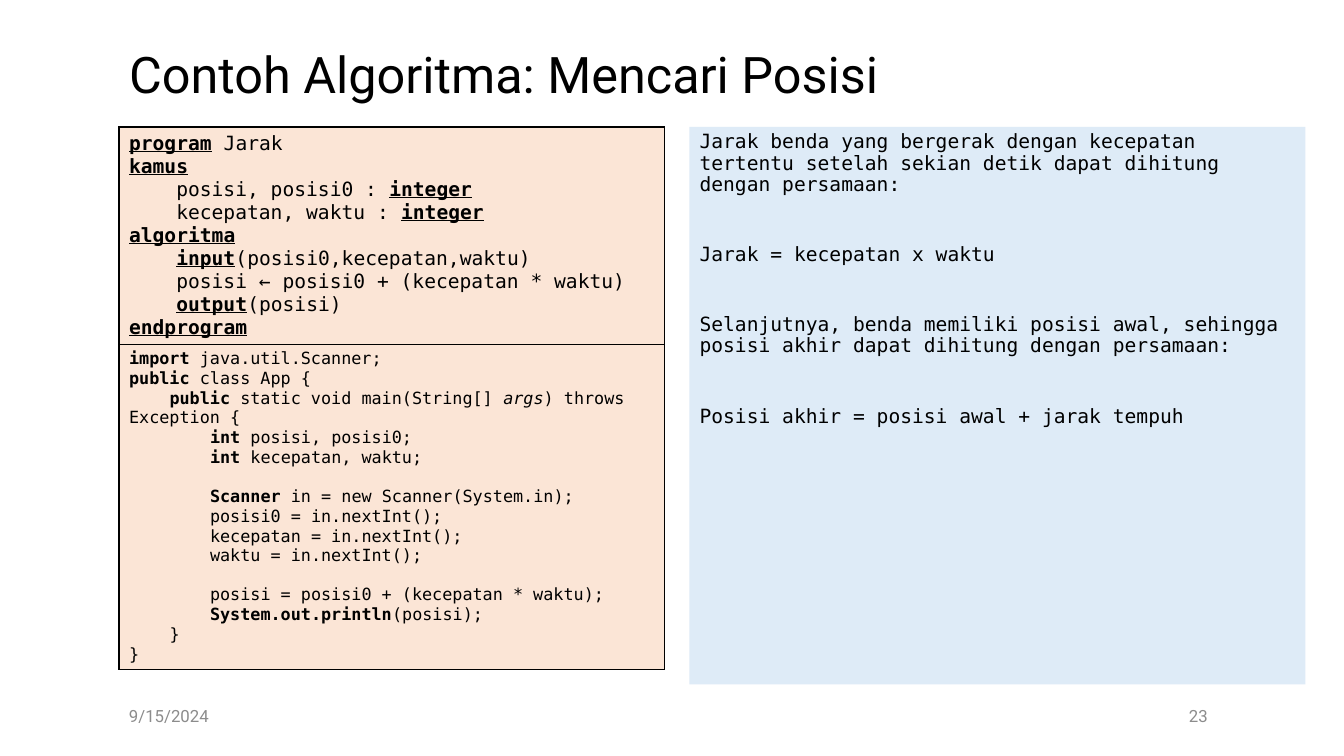
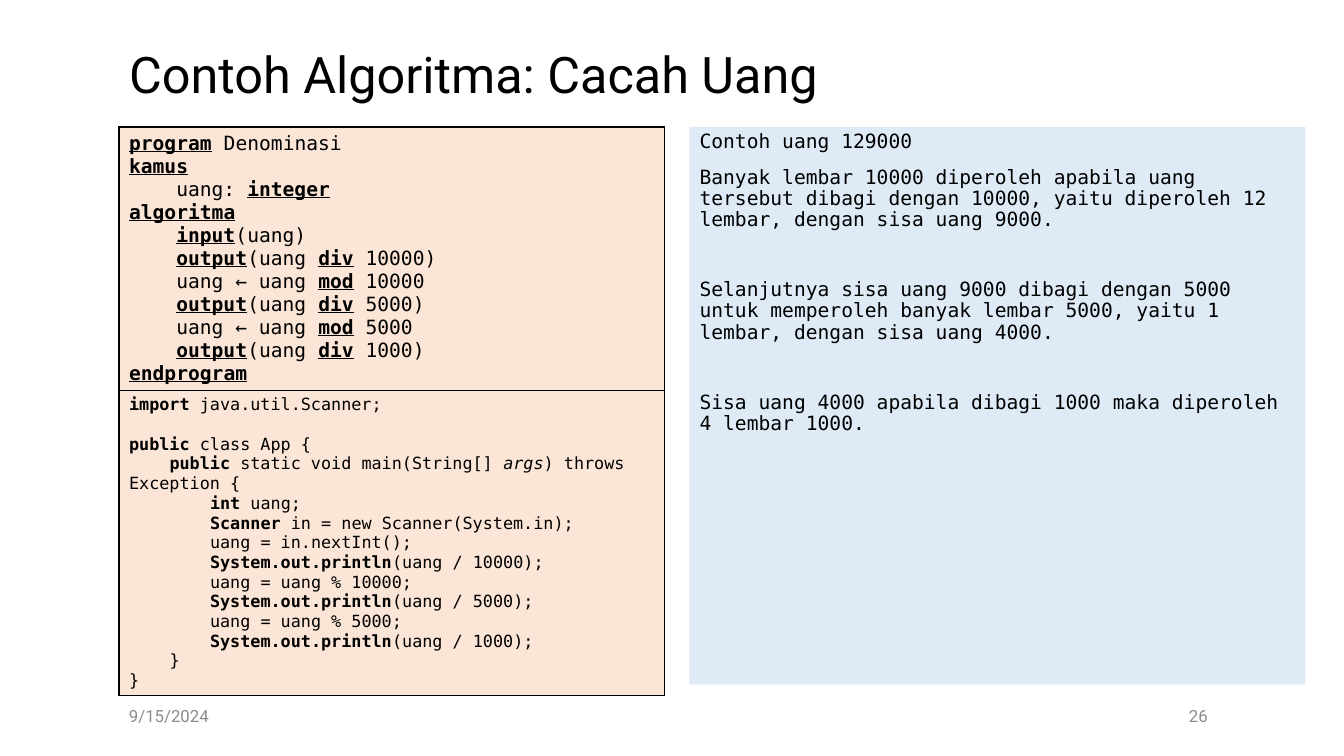
from dataclasses import dataclass
from typing import Any, Iterator, NamedTuple

from lxml.etree import SubElement
from pptx import Presentation
from pptx.dml.color import RGBColor
from pptx.enum.text import MSO_ANCHOR as Anchor, MSO_AUTO_SIZE as AutoSize, PP_ALIGN as Align
from pptx.oxml.ns import qn
from pptx.util import Pt


# Theme
@dataclass(frozen=True)
class Theme:
    ink: str = "000000"
    muted: str = "8C8C8C"
    code_fill: str = "FBE5D6"
    note_fill: str = "DEEBF7"
    heading_font: str = "Roboto"
    code_font: str = "DejaVu Sans Mono"
    title_size: float = 36
    text_size: float = 14
    small_size: float = 12
    mono_advance: float = 0.602  # character width per point of type size
    border: float = 1


THEME = Theme()


class Box(NamedTuple):
    left: float
    top: float
    width: float
    height: float


SLIDE_WIDTH, SLIDE_HEIGHT = 960, 540
LEFT = 85
TITLE_BOX = Box(LEFT, 28.8, 713.5, 53.3)
NOTE_BOX = Box(492.5, 90.7, 440, 398.2)
DATE_BOX = Box(LEFT, 496.8, 108.7, 28.8)
NUMBER_BOX = Box(198, 496.8, 671.8, 28.8)
CODE_TOP, CODE_WIDTH = 90.7, 389.5
DATE = "9/15/2024"


@dataclass(frozen=True)
class TextStyle:
    font: str
    size: float
    color: str = THEME.ink
    underline_keywords: bool = False
    line_spacing: float = 1.0
    space_before: float = 0
    gap: float = 0  # extra space where the source text has a blank line
    align: Any = Align.LEFT


TITLE = TextStyle(THEME.heading_font, THEME.title_size, line_spacing=0.9)
NOTE = TextStyle(THEME.code_font, THEME.text_size, line_spacing=0.9, space_before=10, gap=25)
PSEUDOCODE = TextStyle(THEME.code_font, THEME.text_size, underline_keywords=True)
JAVA = TextStyle(THEME.code_font, THEME.small_size, gap=14)
DATE_STYLE = TextStyle(THEME.heading_font, THEME.small_size, THEME.muted)
NUMBER_STYLE = TextStyle(THEME.heading_font, THEME.small_size, THEME.muted, align=Align.RIGHT)


# Content: `keyword`, ~italic~, leading spaces indent, a blank line opens a gap
@dataclass(frozen=True)
class Example:
    title: str
    number: str
    row_heights: tuple[float, float]
    pseudocode: str
    java: str
    note: str


EXAMPLES = [
    Example(
        "Contoh Algoritma: Mencari Posisi", "23", (155, 232),
        """
`program` Jarak
`kamus`
    posisi, posisi0 : `integer`
    kecepatan, waktu : `integer`
`algoritma`
    `input`(posisi0,kecepatan,waktu)
    posisi ← posisi0 + (kecepatan * waktu)
    `output`(posisi)
`endprogram`
""",
        """
`import` java.util.Scanner;
`public` class App {
    `public` static void main(String[] ~args~) throws Exception {
        `int` posisi, posisi0;
        `int` kecepatan, waktu;

        `Scanner` in = new Scanner(System.in);
        posisi0 = in.nextInt();
        kecepatan = in.nextInt();
        waktu = in.nextInt();

        posisi = posisi0 + (kecepatan * waktu);
        `System.out.println`(posisi);
    }
}
""",
        """
Jarak benda yang bergerak dengan kecepatan tertentu setelah sekian detik dapat dihitung dengan persamaan:

Jarak = kecepatan x waktu

Selanjutnya, benda memiliki posisi awal, sehingga posisi akhir dapat dihitung dengan persamaan:

Posisi akhir = posisi awal + jarak tempuh
"""),
    Example(
        "Contoh Algoritma: Cacah Uang", "26", (188, 218),
        """
`program` Denominasi
`kamus`
    uang: `integer`
`algoritma`
    `input`(uang)
    `output`(uang `div` 10000)
    uang ← uang `mod` 10000
    `output`(uang `div` 5000)
    uang ← uang `mod` 5000
    `output`(uang `div` 1000)
`endprogram`
""",
        """
`import` java.util.Scanner;

`public` class App {
    `public` static void main(String[] ~args~) throws Exception {
        `int` uang;
        `Scanner` in = new Scanner(System.in);
        uang = in.nextInt();
        `System.out.println`(uang / 10000);
        uang = uang % 10000;
        `System.out.println`(uang / 5000);
        uang = uang % 5000;
        `System.out.println`(uang / 1000);
    }
}
""",
        """
Contoh uang 129000
Banyak lembar 10000 diperoleh apabila uang tersebut dibagi dengan 10000, yaitu diperoleh 12 lembar, dengan sisa uang 9000.

Selanjutnya sisa uang 9000 dibagi dengan 5000 untuk memperoleh banyak lembar 5000, yaitu 1 lembar, dengan sisa uang 4000.

Sisa uang 4000 apabila dibagi 1000 maka diperoleh 4 lembar 1000.
"""),
]


# Text helpers
class Line(NamedTuple):
    text: str
    indent: int
    after_gap: bool


def read_lines(source: str) -> Iterator[Line]:
    after_gap = False
    for raw in source.strip("\n").split("\n"):
        text = raw.lstrip()
        if text:
            yield Line(text, len(raw) - len(text), after_gap)
        after_gap = not text


def apply_format(target: Any, values: dict[str, Any]) -> None:
    for name, value in values.items():
        setattr(target, name, value)


def add_runs(paragraph: Any, text: str, style: TextStyle) -> None:
    for index, chunk in enumerate(text.split("`")):
        keyword = index % 2 == 1
        for position, piece in enumerate(chunk.split("~")):
            if not piece:
                continue
            run = paragraph.add_run()
            run.text = piece
            apply_format(run.font, {
                "name": style.font,
                "size": Pt(style.size),
                "bold": keyword,
                "italic": position % 2 == 1,
                "underline": keyword and style.underline_keywords,
            })
            run.font.color.rgb = RGBColor.from_string(style.color)


def write_text(frame: Any, source: str, style: TextStyle) -> None:
    for index, line in enumerate(read_lines(source)):
        paragraph = frame.add_paragraph() if index else frame.paragraphs[0]
        apply_format(paragraph, {
            "alignment": style.align,
            "line_spacing": style.line_spacing,
            "space_before": Pt(style.space_before + style.gap * line.after_gap),
            "space_after": Pt(0),
        })
        # First-line indent only, so that wrapped code returns to the margin
        properties = paragraph._p.get_or_add_pPr()
        indent = Pt(line.indent * style.size * THEME.mono_advance)
        properties.set("marL", "0")
        properties.set("indent", str(int(indent)))
        SubElement(properties, qn("a:buNone"))
        add_runs(paragraph, line.text, style)


def fill_solid(target: Any, color: str) -> None:
    target.fill.solid()
    target.fill.fore_color.rgb = RGBColor.from_string(color)


def write_box(shape: Any, box: Box, source: str, style: TextStyle, anchor: Any) -> None:
    apply_format(shape, {name: Pt(value) for name, value in box._asdict().items()})
    apply_format(shape.text_frame, {
        "word_wrap": True,
        "auto_size": AutoSize.NONE,
        "vertical_anchor": anchor,
    })
    write_text(shape.text_frame, source, style)


# Code table
def add_borders(cell: Any) -> None:
    properties = cell._tc.get_or_add_tcPr()
    for index, side in enumerate(("lnL", "lnR", "lnT", "lnB")):
        line = SubElement(properties, qn(f"a:{side}"), w=str(int(Pt(THEME.border))))
        fill = SubElement(line, qn("a:solidFill"))
        SubElement(fill, qn("a:srgbClr"), val=THEME.ink)
        properties.insert(index, line)


def add_code_table(slide: Any, example: Example) -> None:
    frame = slide.shapes.add_table(
        2, 1, Pt(LEFT), Pt(CODE_TOP), Pt(CODE_WIDTH), Pt(sum(example.row_heights)))
    table = frame.table
    apply_format(table, {"first_row": False, "horz_banding": False})
    listings = ((example.pseudocode, PSEUDOCODE), (example.java, JAVA))
    for index, (source, style) in enumerate(listings):
        table.rows[index].height = Pt(example.row_heights[index])
        cell = table.cell(index, 0)
        fill_solid(cell, THEME.code_fill)
        add_borders(cell)
        write_text(cell.text_frame, source, style)


# Slides
def add_example_slide(presentation: Any, example: Example) -> None:
    slide = presentation.slides.add_slide(presentation.slide_layouts[1])
    write_box(slide.shapes.title, TITLE_BOX, example.title, TITLE, Anchor.MIDDLE)
    note = slide.placeholders[1]
    write_box(note, NOTE_BOX, example.note, NOTE, Anchor.TOP)
    fill_solid(note, THEME.note_fill)
    add_code_table(slide, example)
    footers = ((DATE_BOX, DATE, DATE_STYLE), (NUMBER_BOX, example.number, NUMBER_STYLE))
    for box, text, style in footers:
        write_box(slide.shapes.add_textbox(0, 0, 0, 0), box, text, style, Anchor.MIDDLE)


def main() -> None:
    presentation = Presentation()
    apply_format(presentation, {
        "slide_width": Pt(SLIDE_WIDTH),
        "slide_height": Pt(SLIDE_HEIGHT),
    })
    for example in EXAMPLES:
        add_example_slide(presentation, example)
    presentation.save("out.pptx")


if __name__ == "__main__":
    main()
